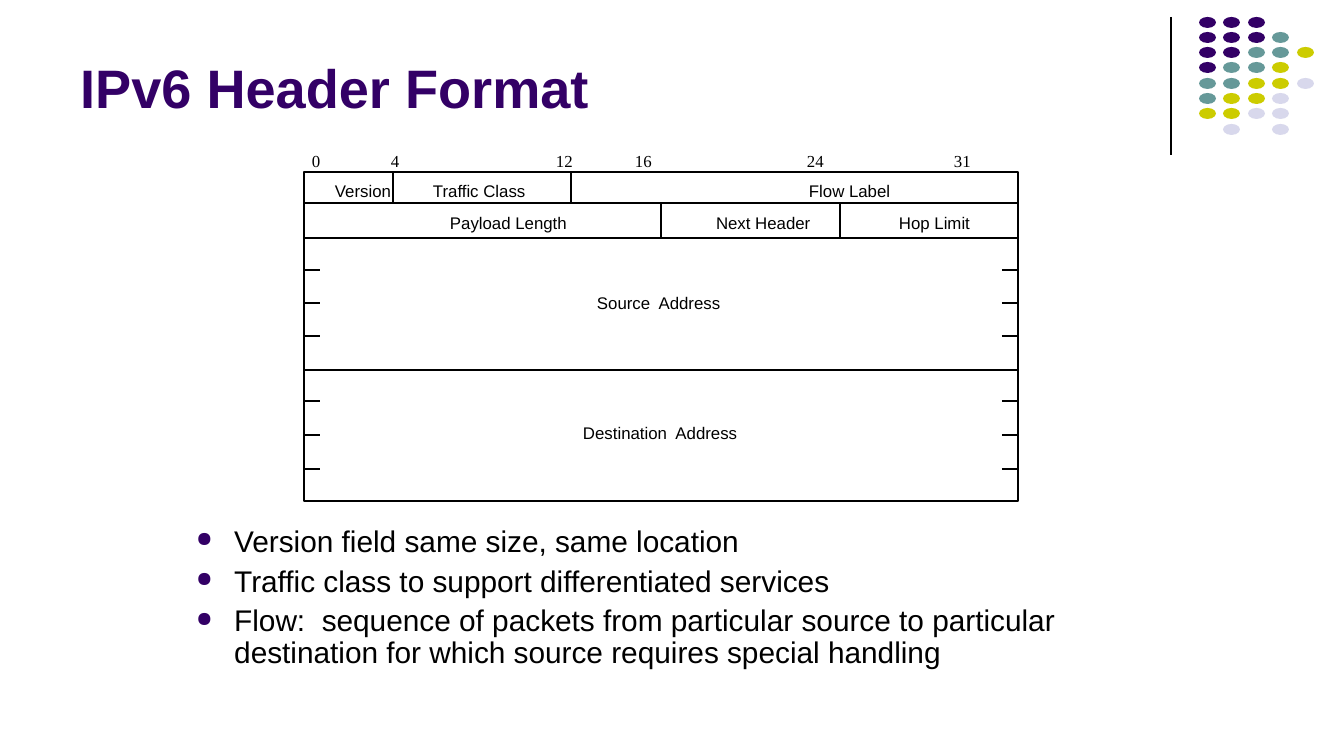
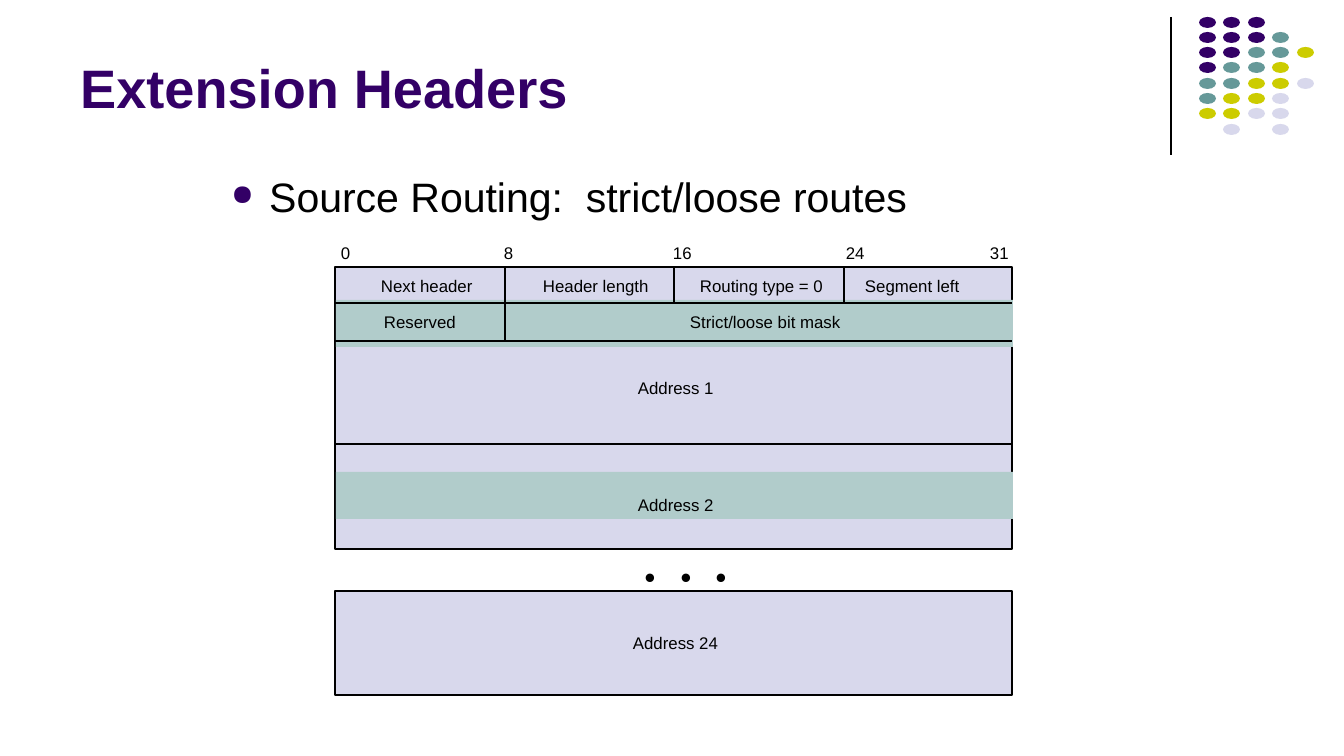
from lxml.etree import SubElement
from pptx import Presentation
from pptx.dml.color import RGBColor
from pptx.enum.shapes import MSO_CONNECTOR, MSO_SHAPE
from pptx.enum.text import MSO_ANCHOR
from pptx.oxml.ns import qn
from pptx.util import Emu, Inches, Pt

PX_PER_INCH = 134.4
SLIDE_WIDTH, SLIDE_HEIGHT = 1344, 756

BLACK = RGBColor(0x00, 0x00, 0x00)
PURPLE = RGBColor(0x33, 0x00, 0x66)
TEAL = RGBColor(0x66, 0x99, 0x99)
OLIVE = RGBColor(0xCC, 0xCC, 0x00)
LAVENDER = RGBColor(0xD8, 0xD8, 0xEC)
SAGE = RGBColor(0xB1, 0xCC, 0xCB)

SANS = "Arial"
SERIF = "Times New Roman"
FIELD_LINE = 0.88
LABEL_HEIGHT = 20

DOT_COLORS = {"P": PURPLE, "T": TEAL, "Y": OLIVE, "L": LAVENDER}
DOT_ROWS = ["PPP", "PPPT", "PPTTY", "PTTY", "TTYYL", "TYYL", "YYLL", " L L"]


def px(length):
    return Emu(round(length * Inches(1) / PX_PER_INCH))


def add_block(slide, kind, left, top, width, height, fill=None, outlined=False):
    shape = slide.shapes.add_shape(kind, px(left), px(top), px(width), px(height))
    shape.shadow.inherit = False
    if fill is None:
        shape.fill.background()
    else:
        shape.fill.solid()
        shape.fill.fore_color.rgb = fill
    if outlined:
        shape.line.color.rgb = BLACK
        shape.line.width = Pt(FIELD_LINE)
    else:
        shape.line.fill.background()


def add_line(slide, left, top, right, bottom, width=FIELD_LINE):
    connector = slide.shapes.add_connector(
        MSO_CONNECTOR.STRAIGHT, px(left), px(top), px(right), px(bottom))
    connector.line.color.rgb = BLACK
    connector.line.width = Pt(width)
    SubElement(connector.element.spPr, qn("a:effectLst"))


def add_run(paragraph, text, size, color=BLACK, font_name=SANS, bold=False):
    run = paragraph.add_run()
    run.text = text
    run.font.size = Pt(size)
    run.font.name = font_name
    run.font.bold = bold
    run.font.color.rgb = color


def add_text_frame(slide, left, top, width, height):
    box = slide.shapes.add_textbox(px(left), px(top), px(width), px(height))
    box.text_frame.word_wrap = True
    return box.text_frame


def add_label(slide, text, left, top, width, size=9, font_name=SANS, height=LABEL_HEIGHT):
    """Add one line of text in a box without margins."""
    frame = add_text_frame(slide, left, top, width, height)
    frame.margin_left = frame.margin_top = frame.margin_right = frame.margin_bottom = 0
    add_run(frame.paragraphs[0], text, size, font_name=font_name)


def add_label_row(slide, top, labels):
    for text, left, width in labels:
        add_label(slide, text, left, top, width)


def add_bit_scale(slide, top, positions, font_name):
    for bit, left in positions.items():
        add_label(slide, str(bit), left, top, 24, font_name=font_name)


def set_bullet(paragraph):
    properties = paragraph._p.get_or_add_pPr()
    indent = px(38)
    properties.set("marL", str(indent))
    properties.set("indent", str(-indent))
    color = SubElement(properties, qn("a:buClr"))
    SubElement(color, qn("a:srgbClr"), val=str(PURPLE))
    SubElement(properties, qn("a:buSzPct"), val="70000")
    SubElement(properties, qn("a:buChar"), char="●")


def add_bullets(slide, box, items, size, space_before=0, line_spacing=1.0):
    frame = add_text_frame(slide, *box)
    for index, item in enumerate(items):
        paragraph = frame.add_paragraph() if index else frame.paragraphs[0]
        set_bullet(paragraph)
        paragraph.line_spacing = line_spacing
        if index:
            paragraph.space_before = Pt(space_before)
        add_run(paragraph, item, size)


def add_dot_pattern(slide):
    for row, colors in enumerate(DOT_ROWS):
        for column, color in enumerate(colors):
            if color in DOT_COLORS:
                add_block(slide, MSO_SHAPE.OVAL, 1199 + column * 49 // 2,
                          17 + row * 107 // 7, 17, 11, DOT_COLORS[color])


def add_titled_slide(presentation, title):
    slide = presentation.slides.add_slide(presentation.slide_layouts[6])
    add_line(slide, 1171, 17, 1171, 155, width=0.75)
    add_dot_pattern(slide)
    frame = add_text_frame(slide, 67, 13, 1109, 113)
    frame.vertical_anchor = MSO_ANCHOR.BOTTOM
    add_run(frame.paragraphs[0], title, 29, PURPLE, bold=True)
    return slide


def build_header_format(presentation):
    slide = add_titled_slide(presentation, "IPv6 Header Format")
    left, right, tick = 304, 1018, 16
    top, second_row, source, destination, bottom = 172, 203, 238, 370, 501

    add_block(slide, MSO_SHAPE.RECTANGLE, left, top, right - left, bottom - top, outlined=True)
    for y in (second_row, source, destination):
        add_line(slide, left, y, right, y)
    for x in (393, 571):
        add_line(slide, x, top, x, second_row)
    for x in (661, 840):
        add_line(slide, x, second_row, x, source)
    for y in (270, 303, 336, 401, 435, 469):
        add_line(slide, left, y, left + tick, y)
        add_line(slide, right - tick, y, right, y)

    add_bit_scale(slide, 151, {0: 312, 4: 391, 12: 556, 16: 635, 24: 807, 31: 954}, SERIF)
    add_label_row(slide, 181, [("Version", 335, 60), ("Traffic Class", 433, 96),
                               ("Flow Label", 809, 84)])
    add_label_row(slide, 213, [("Payload Length", 450, 121), ("Next Header", 716, 99),
                               ("Hop Limit", 899, 76)])
    add_label(slide, "Source  Address", 597, 293, 127)
    add_label(slide, "Destination  Address", 583, 423, 159)

    add_bullets(slide, (183, 520, 956, 163), [
        "Version field same size, same location",
        "Traffic class to support differentiated services",
        "Flow:  sequence of packets from particular source to particular "
        "destination for which source requires special handling",
    ], size=16, space_before=4, line_spacing=0.9)


def build_extension_headers(presentation):
    slide = add_titled_slide(presentation, "Extension Headers")
    add_bullets(slide, (218, 165, 907, 73), ["Source Routing:  strict/loose routes"], size=22)

    left, width = 335, 677
    right = left + width
    top, second_row, first_address, second_address = 267, 303, 341, 444
    for y, height in ((top, 282), (591, 104)):
        add_block(slide, MSO_SHAPE.RECTANGLE, left, y, width, height, LAVENDER, outlined=True)
    for y in (300, 472):
        add_block(slide, MSO_SHAPE.RECTANGLE, left + 1, y, width, 47, SAGE)
    for y in (second_row, first_address, second_address):
        add_line(slide, left, y, right, y)
    for x, bottom in ((505, first_address), (674, second_row), (844, second_row)):
        add_line(slide, x, top, x, bottom)

    add_bit_scale(slide, 243, {0: 341, 8: 504, 16: 673, 24: 846, 31: 990}, SANS)
    add_label_row(slide, 276, [("Next header", 381, 96), ("Header length", 543, 110),
                               ("Routing type = 0", 700, 128), ("Segment left", 865, 99)])
    add_label_row(slide, 312, [("Reserved", 384, 76), ("Strict/loose bit mask", 690, 155)])
    add_label(slide, "Address 1", 638, 378, 80)
    add_label(slide, "Address 2", 638, 495, 80)
    add_label(slide, ". . .", 642, 511, 95, size=38, font_name=SERIF, height=85)
    add_label(slide, "Address 24", 633, 633, 89)


def main():
    presentation = Presentation()
    presentation.slide_width = px(SLIDE_WIDTH)
    presentation.slide_height = px(SLIDE_HEIGHT)
    build_header_format(presentation)
    build_extension_headers(presentation)
    presentation.save("out.pptx")


if __name__ == "__main__":
    main()
